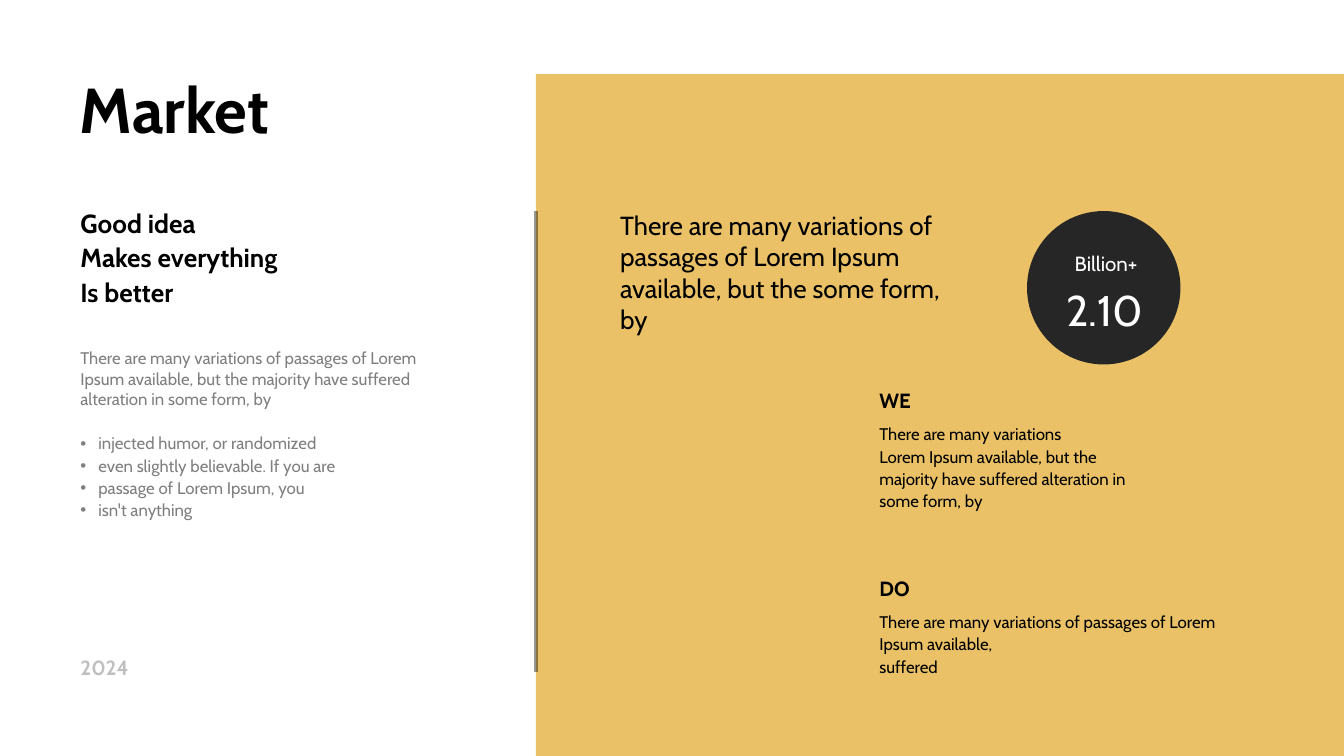
from lxml.etree import SubElement
from pptx import Presentation
from pptx.dml.color import RGBColor
from pptx.enum.shapes import MSO_CONNECTOR as Connector, MSO_SHAPE as Shape
from pptx.enum.text import MSO_ANCHOR as Anchor, PP_ALIGN as Align
from pptx.oxml.ns import qn
from pptx.util import Cm, Pt

FONT = "Cabin"
COLORS = {
    "sand": "EAC167",
    "black": "000000",
    "grey": "7F7F7F",
    "silver": "BFBFBF",
    "charcoal": "262626",
    "white": "FFFFFF",
}


def rgb(name):
    return RGBColor.from_string(COLORS[name])


def add_bullet(para, color):
    props = para._p.get_or_add_pPr()
    props.set("marL", str(Cm(0.34)))
    props.set("indent", str(-Cm(0.34)))
    bullet_color = SubElement(props, qn("a:buClr"))
    SubElement(bullet_color, qn("a:srgbClr"), val=COLORS[color])
    SubElement(props, qn("a:buFont"), typeface="Arial")
    SubElement(props, qn("a:buChar"), char="•")


def write(shape, lines, size, color="black", bold=False, spacing=1.0,
          align=Align.LEFT, bullets=False):
    frame = shape.text_frame
    frame.word_wrap = True
    frame.vertical_anchor = Anchor.TOP
    frame.margin_left = frame.margin_right = Cm(0.19)
    frame.margin_top = frame.margin_bottom = Cm(0.1)
    frame.text = "\n".join(lines)
    for para in frame.paragraphs:
        para.alignment = align
        para.line_spacing = spacing
        para.space_before = Pt(0)
        if bullets:
            add_bullet(para, color)
        para.font.name = FONT
        para.font.size = Pt(size)
        para.font.bold = bold
        para.font.color.rgb = rgb(color)


def add_text(page, left, top, width, height, lines, size, **style):
    box = page.shapes.add_textbox(Cm(left), Cm(top), Cm(width), Cm(height))
    write(box, lines, size, **style)


def add_filled(page, kind, left, top, width, height, color):
    shape = page.shapes.add_shape(kind, Cm(left), Cm(top), Cm(width), Cm(height))
    shape.shadow.inherit = False
    shape.fill.solid()
    shape.fill.fore_color.rgb = rgb(color)
    shape.line.fill.background()


def add_title(page, left, top, width, height):
    title = page.shapes.title
    title.left, title.top = Cm(left), Cm(top)
    title.width, title.height = Cm(width), Cm(height)
    write(title, ["Market"], 34, bold=True)


def add_idea_column(page, left, top, width, height):
    add_text(page, left, top, width, 2.11,
             ["Good idea", "Makes everything", "Is better"],
             14, bold=True, spacing=1.1)
    add_text(page, left, top + 2.72, width, 1.35,
             ["There are many variations of passages of Lorem Ipsum available, "
              "but the majority have suffered alteration in some form, by"],
             9, color="grey")
    add_text(page, left, top + 4.29, width, 1.85,
             ["injected humor, or randomized",
              "even slightly believable. If you are",
              "passage of Lorem Ipsum, you",
              "isn't anything"],
             9, color="grey", spacing=1.1, bullets=True)
    add_text(page, left, top + height - 0.64, width, 0.64, ["2024"],
             11, color="silver", bold=True)


def add_note(page, left, top, width, height, heading, lines):
    add_text(page, left, top, 2.06, 0.66, [heading], 11, bold=True, spacing=1.1)
    add_text(page, left, top + 0.69, width, height - 0.69, lines, 9, spacing=1.1)


def add_badge(page, left, top, size):
    add_filled(page, Shape.OVAL, left, top, size, size, "charcoal")
    add_text(page, left + 0.3, top + 1.27, 2.34, 1.27, ["2.10"],
             23, color="white", align=Align.CENTER)
    add_text(page, left - 0.31, top + 0.66, 3.61, 0.74, ["Billion+"],
             11, color="white", align=Align.CENTER)


def add_rule(page, left, top, height):
    rule = page.shapes.add_connector(
        Connector.STRAIGHT, Cm(left), Cm(top), Cm(left), Cm(top + height))
    rule.line.width = Pt(2)
    rule.line.color.rgb = rgb("black")
    props = rule._element.spPr
    color = props.find(".//" + qn("a:srgbClr"))
    SubElement(color, qn("a:alpha"), val="40000")
    SubElement(props, qn("a:effectLst"))


def add_panel(page, left, top, width, height):
    add_filled(page, Shape.RECTANGLE, left, top, width, height, "sand")
    add_text(page, left + 1.4, top + 2.46, 6.58, 2.59,
             ["There are many variations of passages of Lorem Ipsum available, "
              "but the some form, by"], 14)
    notes = [
        ("WE", 5.49, 2.54,
         ["There are many variations",
          "Lorem Ipsum available, but the majority have suffered "
          "alteration in some form, by"]),
        ("DO", 7.04, 2.11,
         ["There are many variations of passages of Lorem Ipsum available,",
          "suffered"]),
    ]
    for row, (heading, note_width, note_height, lines) in enumerate(notes):
        add_note(page, left + 6.3, top + 5.79 + 3.55 * row,
                 note_width, note_height, heading, lines)
    add_badge(page, left + 9.28, top + 2.59, 2.9)
    add_rule(page, left, top + 2.59, 8.71)


def main():
    deck = Presentation()
    deck.slide_width, deck.slide_height = Cm(25.4), Cm(14.29)
    page = deck.slides.add_slide(deck.slide_layouts[5])
    add_title(page, 1.32, 1.22, 8.5, 1.65)
    add_idea_column(page, 1.33, 3.76, 7.11, 9.17)
    add_panel(page, 10.13, 1.4, 15.27, 12.89)
    deck.save("out.pptx")


if __name__ == "__main__":
    main()
